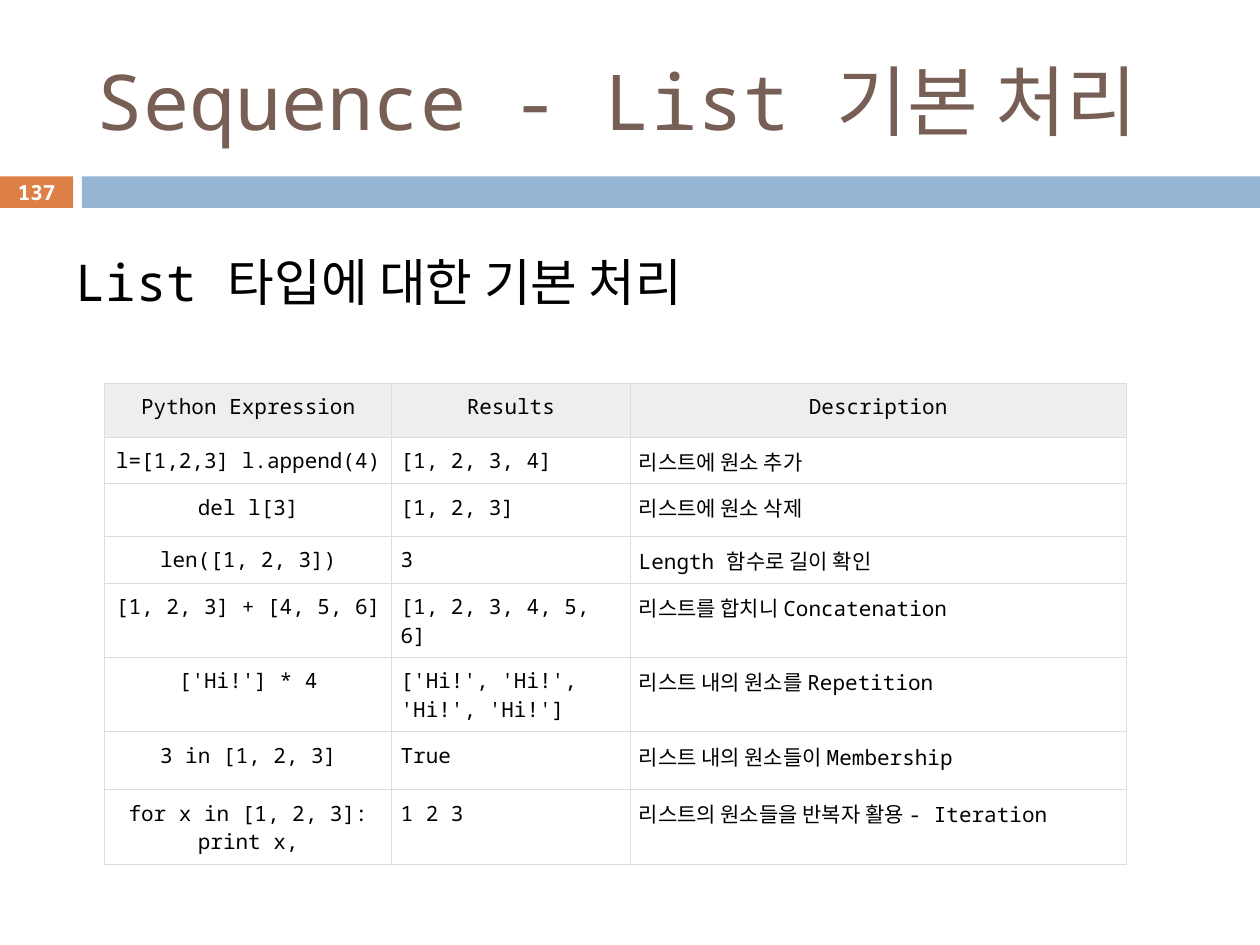
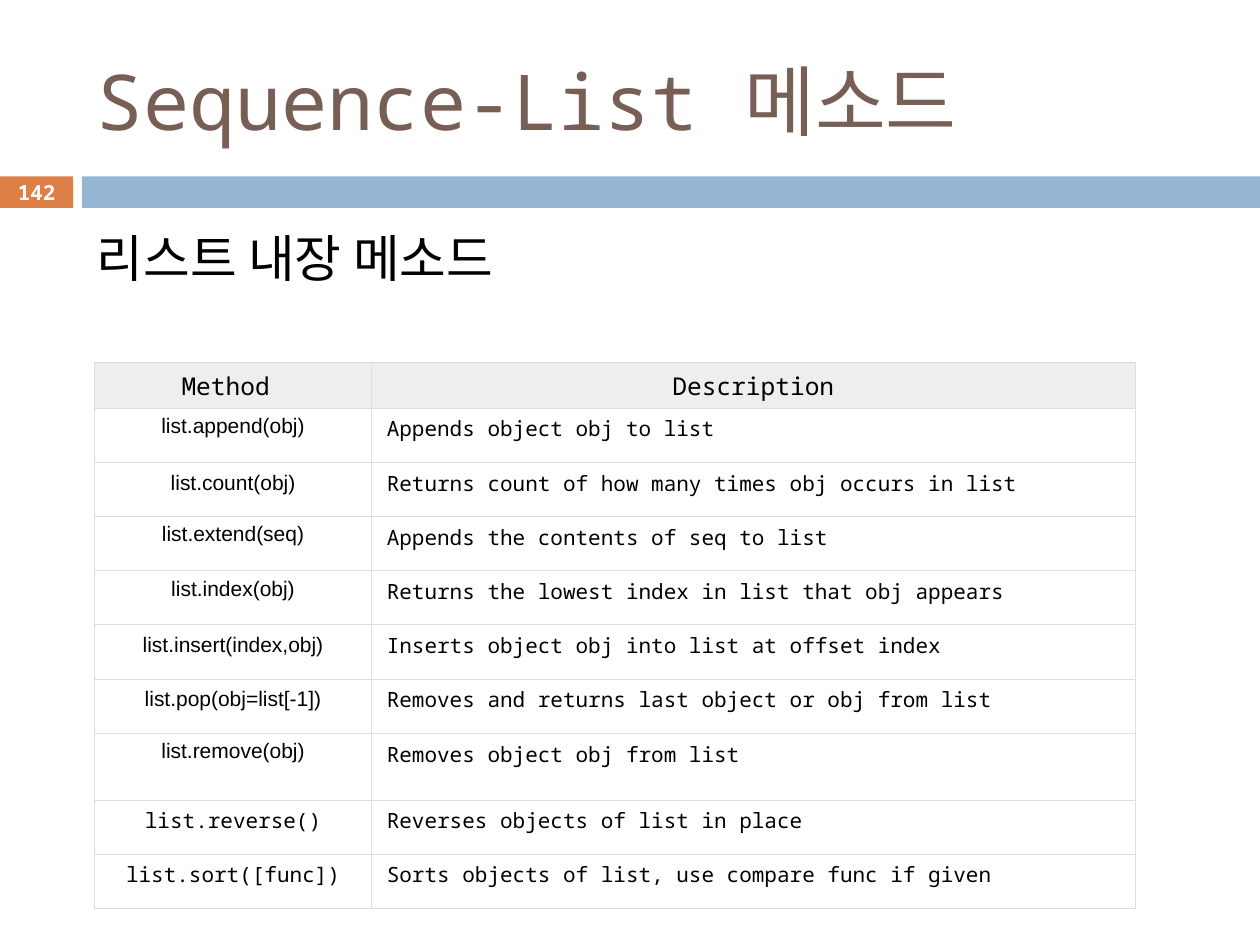
from lxml import etree
from pptx import Presentation
from pptx.dml.color import RGBColor
from pptx.enum import shapes, text
from pptx.oxml import ns
from pptx.util import Inches, Pt

HUES = {"title": "775F55", "tab": "DD8047", "band": "94B6D2", "ink": "000000",
        "white": "FFFFFF", "head": "EEEEEE", "rule": "DDDDDD"}
MONO, SANS = "Noto Sans Mono", "Arial"
MID, LEFT = text.PP_ALIGN.CENTER, text.PP_ALIGN.LEFT


def write(frame, words, size, hue="ink", font=MONO, align=LEFT, bold=False):
    frame.word_wrap = True
    para = frame.paragraphs[0]
    para.text = words
    para.alignment = align
    para.font.size = Pt(size)
    para.font.name = font
    para.font.bold = bold
    para.font.color.rgb = RGBColor.from_string(HUES[hue])


def edge(cell):
    """Draw a thin rule on all four sides of a cell."""
    props = cell._tc.get_or_add_tcPr()
    for side in ("lnL", "lnR", "lnT", "lnB"):
        line = etree.SubElement(props, ns.qn("a:" + side), w=str(Pt(0.6)))
        fill = etree.SubElement(line, ns.qn("a:solidFill"))
        etree.SubElement(fill, ns.qn("a:srgbClr"), val=HUES["rule"])


basics = [
    ("Python Expression", "Results", "Description"),
    ("l=[1,2,3] l.append(4)", "[1, 2, 3, 4]", "리스트에 원소 추가"),
    ("del l[3]", "[1, 2, 3]", "리스트에 원소 삭제"),
    ("len([1, 2, 3])", "3", "Length 함수로 길이 확인"),
    ("[1, 2, 3] + [4, 5, 6]", "[1, 2, 3, 4, 5, 6]", "리스트를 합치니 Concatenation"),
    ("['Hi!'] * 4", "['Hi!', 'Hi!', 'Hi!', 'Hi!']", "리스트 내의 원소를 Repetition"),
    ("3 in [1, 2, 3]", "True", "리스트 내의 원소들이 Membership"),
    ("for x in [1, 2, 3]: print x,", "1 2 3", "리스트의 원소들을 반복자 활용 - Iteration"),
]
methods = [
    ("Method ", "Description"),
    ("list.append(obj)", "Appends object obj to list"),
    ("list.count(obj)", "Returns count of how many times obj occurs in list"),
    ("list.extend(seq)", "Appends the contents of seq to list"),
    ("list.index(obj)", "Returns the lowest index in list that obj appears"),
    ("list.insert(index,obj)", "Inserts object obj into list at offset index"),
    ("list.pop(obj=list[-1])", "Removes and returns last object or obj from list"),
    ("list.remove(obj)", "Removes object obj from list"),
    ("list.reverse()", "Reverses objects of list in place"),
    ("list.sort([func])", "Sorts objects of list, use compare func if given"),
]
pages = [
    dict(num="137", title="Sequence - List 기본 처리",
         lead="List 타입에 대한 기본 처리", spot=(0.5, 1.94, 9, 1.14),
         rows=basics, at=(0.83, 3.04), wide=(2.28, 1.89, 3.94),
         high=(0.43, 0.37, 0.42, 0.37, 0.59, 0.59, 0.46, 0.59),
         top=12, pad=0.07, inset=0.07, sans=(), roomy=()),
    dict(num="142", title="Sequence-List 메소드",
         lead="리스트 내장 메소드", spot=(0.67, 1.75, 8.92, 1.13),
         rows=methods, at=(0.75, 2.88), wide=(2.2, 6.06),
         high=(0.36, *[0.43] * 6, 0.53, 0.43, 0.43),
         top=14, pad=0.05, inset=0.12, sans=range(1, 8), roomy=(2, 5, 6)),
]

deck = Presentation()
deck.slide_width, deck.slide_height = Inches(10), Inches(7.5)

for page in pages:
    slide = deck.slides.add_slide(deck.slide_layouts[6])

    for left, width, hue in ((0, 0.58, "tab"), (0.65, 9.35, "band")):
        bar = slide.shapes.add_shape(shapes.MSO_SHAPE.RECTANGLE, Inches(left),
                                     Inches(1.4), Inches(width), Inches(0.25))
        bar.shadow.inherit = False
        bar.fill.solid()
        bar.fill.fore_color.rgb = RGBColor.from_string(HUES[hue])
        bar.line.fill.background()

    title = slide.shapes.add_textbox(*map(Inches, (0.67, 0.25, 8.92, 1.08)))
    write(title.text_frame, page["title"], 44, "title")
    lead = slide.shapes.add_textbox(*map(Inches, page["spot"]))
    write(lead.text_frame, page["lead"], 29)
    num = slide.shapes.add_textbox(*map(Inches, (0, 1.39, 0.58, 0.27)))
    write(num.text_frame, page["num"], 11.9, "white", align=MID, bold=True)
    for box in (title, num):
        box.text_frame.vertical_anchor = text.MSO_ANCHOR.MIDDLE

    rows, wide, high = page["rows"], page["wide"], page["high"]
    area = (*page["at"], sum(wide), sum(high))
    table = slide.shapes.add_table(len(rows), len(wide), *map(Inches, area)).table
    for col, width in zip(table.columns, wide):
        col.width = Inches(width)
    for row, height in zip(table.rows, high):
        row.height = Inches(height)

    for r, row in enumerate(rows):
        for c, words in enumerate(row):
            cell = table.cell(r, c)
            pad = 0.07 if c == 0 and r in page["roomy"] else page["pad"]
            cell.margin_top = cell.margin_bottom = cell.margin_right = Inches(pad)
            cell.margin_left = Inches(page["inset"] if r and c else pad)
            edge(cell)
            cell.fill.solid()
            cell.fill.fore_color.rgb = RGBColor.from_string(HUES["white" if r else "head"])
            write(cell.text_frame, words, 12 if r else page["top"],
                  font=SANS if c == 0 and r in page["sans"] else MONO,
                  align=LEFT if r and c else MID)

deck.save("out.pptx")
